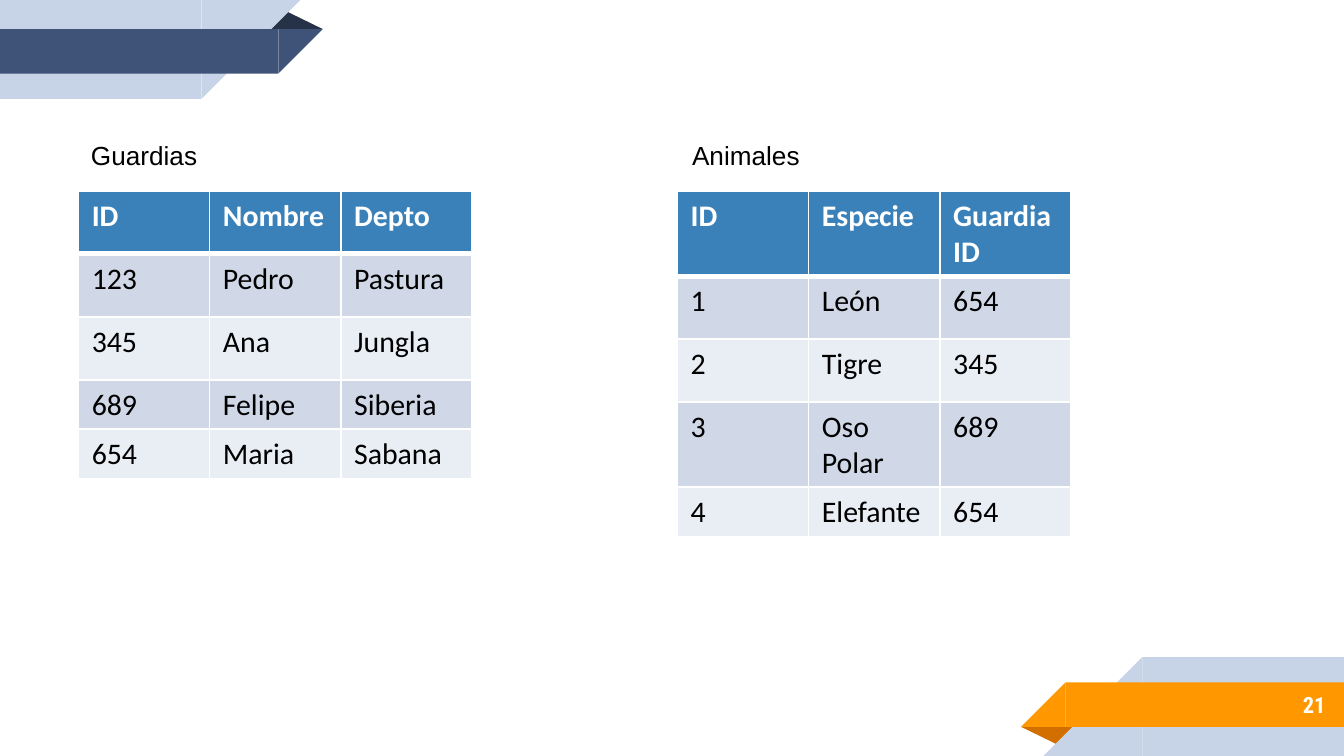
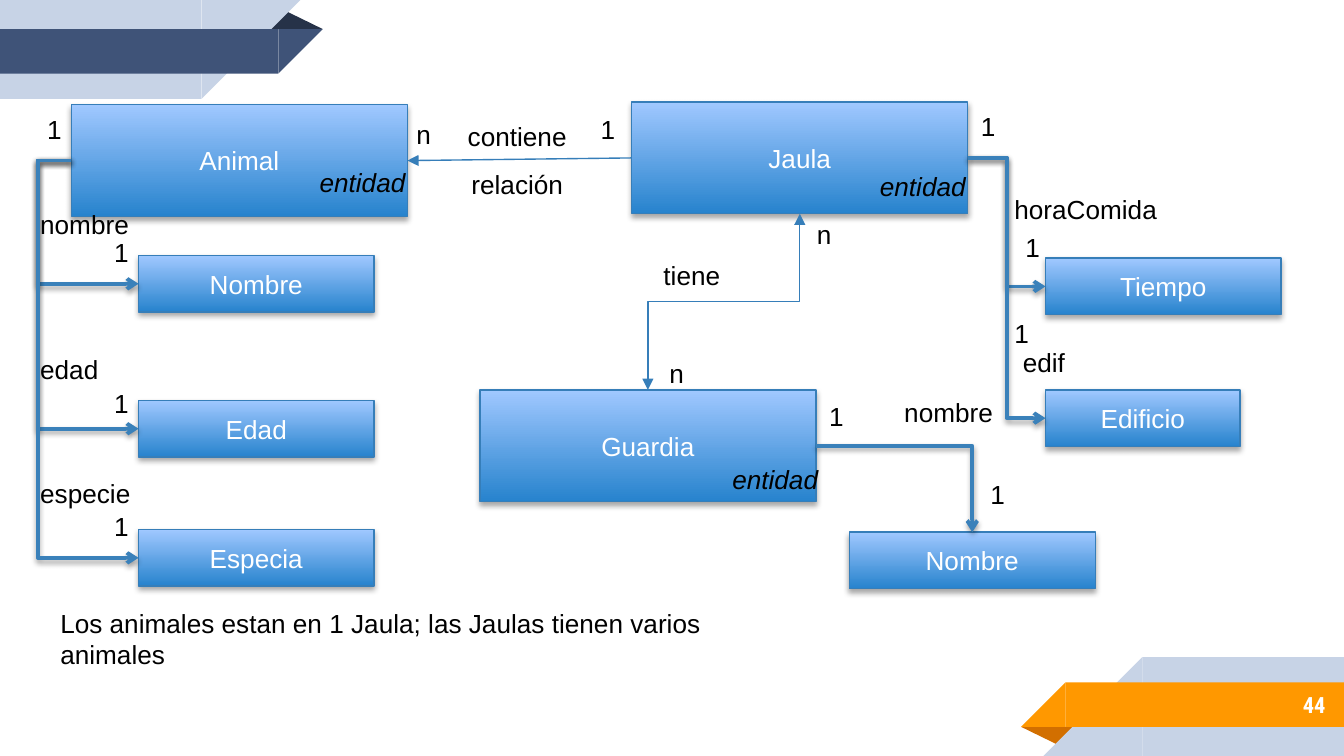
from lxml import etree
from pptx import Presentation
from pptx.dml.color import RGBColor
from pptx.enum.shapes import MSO_CONNECTOR, MSO_SHAPE
from pptx.enum.text import MSO_ANCHOR, MSO_AUTO_SIZE, PP_ALIGN
from pptx.oxml.ns import qn
from pptx.util import Cm, Pt

RECT, TRIANGLE, CORNER = MSO_SHAPE.RECTANGLE, MSO_SHAPE.ISOSCELES_TRIANGLE, MSO_SHAPE.RIGHT_TRIANGLE
LEFT, CENTER, RIGHT = PP_ALIGN.LEFT, PP_ALIGN.CENTER, PP_ALIGN.RIGHT
MIDDLE = MSO_ANCHOR.MIDDLE
STRAIGHT, ELBOW = MSO_CONNECTOR.STRAIGHT, MSO_CONNECTOR.ELBOW
SITE_TOP, SITE_LEFT, SITE_BOTTOM, SITE_RIGHT = range(4)

COLORS = {
    "black": "000000", "white": "FFFFFF",
    "pale": "C7D3E6", "orange": "FF9800", "orange_fold": "D26F00",
    "navy": "3F5378", "navy_fold": "263248",
    "header": "3A81BA", "row_odd": "D0D8E8", "row_even": "E9EDF4",
    "box_bottom": "2783CD", "box_top": "A0C8FF",
    "outline": "367EB9", "attribute_line": "3A81BA",
}
WIDTH, HEIGHT = 25.4, 14.29

# Corner ornament at the bottom right: shape, colour role, x, y, width, height
ORNAMENT = [
    (TRIANGLE, "fold", 19.3, 13.74, 1.09, 0.36),
    (RECT, "pale", 21.59, 12.42, 3.81, 1.87),
    (CORNER, "pale", 19.72, 12.42, 1.87, 1.87),
    (RECT, "band", 20.14, 12.9, 5.26, 0.84),
    (CORNER, "band", 19.3, 12.9, 0.84, 0.84),
]

# Tables: caption, caption x, caption width, table x, rows
TABLES = [
    ("Guardias", 1.47, 2.54, 1.48, [
        ("ID", "Nombre", "Depto"),
        ("123", "Pedro", "Pastura"),
        ("345", "Ana", "Jungla"),
        ("689", "Felipe", "Siberia"),
        ("654", "Maria", "Sabana"),
    ]),
    ("Animales", 12.83, 2.57, 12.8, [
        ("ID", "Especie", "Guardia ID"),
        ("1", "León", "654"),
        ("2", "Tigre", "345"),
        ("3", "Oso Polar", "689"),
        ("4", "Elefante", "654"),
    ]),
]
TABLE_TOP, COLUMN_WIDTH = 3.61, 2.48
ROW_HEIGHTS = [1.19, 1.19, 1.19, 0.69, 0.69]

# Entities: x, y
ENTITY_SIZE = (6.35, 2.11)
ENTITIES = {"Animal": (1.35, 1.98), "Jaula": (11.94, 1.93), "Guardia": (9.07, 7.37)}

# Attributes: entity, text, x, y, width, bend (None means a single corner)
ATTRIBUTE_HEIGHT = 1.07
ATTRIBUTES = [
    ("Animal", "Nombre", 2.62, 4.83, 4.45, -0.5),
    ("Animal", "Edad", 2.62, 7.57, 4.45, -0.5),
    ("Animal", "Especia", 2.62, 10.01, 4.45, -0.5),
    ("Jaula", "Tiempo", 19.76, 4.88, 4.45, 0.5),
    ("Jaula", "Edificio", 19.76, 7.37, 3.68, 0.5),
    ("Guardia", "Nombre", 16.05, 10.06, 4.65, None),
]

LABELS = [
    ("nombre", 0.51, 3.81, 2.18), ("edad", 0.51, 6.55, 1.63),
    ("especie", 0.51, 8.89, 2.24), ("horaComida", 18.92, 3.53, 3.23),
    ("edif", 19.08, 6.43, 1.32), ("nombre", 16.84, 7.37, 2.18),
    ("contiene", 8.59, 2.16, 2.39), ("relación", 8.66, 3.05, 2.26),
    ("tiene", 12.29, 4.78, 1.6),
    ("n", 7.62, 2.11, 0.79), ("1", 11.1, 2.01, 0.79),
    ("n", 15.19, 4.01, 0.79), ("n", 12.4, 6.63, 0.79),
]
ATTRIBUTE_ONES = [
    (0.64, 2.01), (1.91, 4.34), (1.91, 7.19), (1.91, 9.53), (18.29, 1.96),
    (19.13, 4.24), (18.92, 5.87), (15.42, 7.44), (18.47, 8.92),
]
ENTITY_TAGS = [(5.79, 3.02, 2.29), (16.38, 3.1, 2.34), (13.59, 8.64, 3.56)]
NOTE = "Los animales estan en 1 Jaula; las Jaulas tienen varios animales"


def rgb(name):
    return RGBColor.from_string(COLORS[name])


def write(tf, text, size=14, font="Arial", color="black", bold=False, italic=False, align=LEFT):
    p = tf.paragraphs[0]
    p.alignment = align
    r = p.add_run()
    r.text = text
    r.font.size, r.font.name = Pt(size), font
    r.font.bold, r.font.italic = bold, italic
    r.font.color.rgb = rgb(color)


def add_text(s, text, x, y, w, h=0.86, wrap=False, **fmt):
    tf = s.shapes.add_textbox(Cm(x), Cm(y), Cm(w), Cm(h)).text_frame
    tf.word_wrap = wrap
    tf.auto_size = MSO_AUTO_SIZE.SHAPE_TO_FIT_TEXT
    write(tf, text, **fmt)


def add_shadow(sp, alpha, distance):
    """Give a shape or connector a soft black shadow straight below it."""
    effects = etree.SubElement(sp._element.spPr, qn("a:effectLst"))
    shadow = etree.SubElement(effects, qn("a:outerShdw"), blurRad=str(Pt(3.1)),
                              dist=str(Pt(distance)), dir="5400000", rotWithShape="0")
    color = etree.SubElement(shadow, qn("a:srgbClr"), val=COLORS["black"])
    etree.SubElement(color, qn("a:alpha"), val=str(alpha * 1000))


def draw_ornament(s, band, fold, opposite=False):
    """Draw the corner ornament, or the same one turned about the slide centre."""
    roles = {"band": band, "fold": fold, "pale": "pale"}
    for kind, role, x, y, w, h in ORNAMENT:
        if opposite:
            x, y = WIDTH - x - w, HEIGHT - y - h
        sp = s.shapes.add_shape(kind, Cm(x), Cm(y), Cm(w), Cm(h))
        sp.fill.solid()
        sp.fill.fore_color.rgb = rgb(roles[role])
        sp.line.fill.background()
        sp.shadow.inherit = False
        if kind == TRIANGLE:
            sp.adjustments[0] = 0.324
            sp.rotation = 0 if opposite else 180
        else:
            sp._element.spPr.xfrm.set("flipH", "1")
            sp.rotation = 180 if opposite else 0


def decorate_layout(s):
    """Move the ornaments from the slide to its layout, which all slides share."""
    draw_ornament(s, "orange", "orange_fold")
    draw_ornament(s, "navy", "navy_fold", opposite=True)
    tree = s.slide_layout.shapes._spTree
    for sp in list(s.shapes):
        tree.append(sp._element)


def add_page_number(s, number):
    tf = s.shapes.add_textbox(Cm(21.16), Cm(12.88), Cm(4.14), Cm(0.89)).text_frame
    tf.word_wrap = True
    tf.vertical_anchor = MIDDLE
    tf.margin_left = tf.margin_right = tf.margin_top = tf.margin_bottom = Cm(0.25)
    write(tf, number, size=12, font="Roboto Condensed", color="white", bold=True, align=RIGHT)


def set_borders(cell, **widths):
    tcPr = cell._tc.get_or_add_tcPr()
    for side in "LRTB":
        ln = etree.SubElement(tcPr, qn(f"a:ln{side}"), w=str(Pt(widths.get(side, 1))))
        fill = etree.SubElement(ln, qn("a:solidFill"))
        etree.SubElement(fill, qn("a:srgbClr"), val=COLORS["white"])


def add_data_table(s, x, rows):
    columns = len(rows[0])
    table = s.shapes.add_table(len(rows), columns, Cm(x), Cm(TABLE_TOP),
                               Cm(COLUMN_WIDTH * columns), Cm(sum(ROW_HEIGHTS))).table
    for column in table.columns:
        column.width = Cm(COLUMN_WIDTH)
    for i, values in enumerate(rows):
        table.rows[i].height = Cm(ROW_HEIGHTS[i])
        header = i == 0
        fill = "header" if header else "row_odd" if i % 2 else "row_even"
        for j, value in enumerate(values):
            cell = table.cell(i, j)
            set_borders(cell, B=3 if header else 1, T=3 if i == 1 else 1)
            cell.fill.solid()
            cell.fill.fore_color.rgb = rgb(fill)
            write(cell.text_frame, value, size=16, font="Calibri", bold=header,
                  color="white" if header else "black")


def add_box(s, text, x, y, w, h):
    sp = s.shapes.add_shape(RECT, Cm(x), Cm(y), Cm(w), Cm(h))
    sp.fill.gradient()
    sp.fill.gradient_angle = 90
    for stop, position, color in zip(sp.fill.gradient_stops, (0, 1), ("box_bottom", "box_top")):
        stop.position = position
        stop.color.rgb = rgb(color)
    sp.line.color.rgb = rgb("outline")
    sp.line.width = Pt(0.75)
    add_shadow(sp, 35, 1.8)
    sp.text_frame.vertical_anchor = MIDDLE
    write(sp.text_frame, text, color="white", align=CENTER)
    return sp


def connect(s, kind, start, start_site, end, end_site, color, width, head=None, tail="triangle"):
    conn = s.shapes.add_connector(kind, 0, 0, 0, 0)
    conn.begin_connect(start, start_site)
    conn.end_connect(end, end_site)
    conn.line.color.rgb = rgb(color)
    conn.line.width = Pt(width)
    ln = conn.line._get_or_add_ln()
    for tag, arrow in (("a:headEnd", head), ("a:tailEnd", tail)):
        if arrow:
            etree.SubElement(ln, qn(tag), type=arrow)
    return conn


def connect_attribute(s, entity, attribute, bend):
    start_site = SITE_LEFT if bend and bend < 0 else SITE_RIGHT
    end_site = SITE_TOP if bend is None else SITE_LEFT
    conn = connect(s, ELBOW, entity, start_site, attribute, end_site,
                   "attribute_line", 2, tail="arrow")
    geometry = conn._element.spPr.find(qn("a:prstGeom"))
    if bend is None:
        geometry.set("prst", "bentConnector2")
    else:
        etree.SubElement(geometry.find(qn("a:avLst")), qn("a:gd"),
                         name="adj1", fmla=f"val {int(bend * 100000)}")
    add_shadow(conn, 38, 1.6)


def turn_vertical(conn):
    """Make an elbow that runs down and to the left start and end vertically."""
    x, y, w, h = conn.left, conn.top, conn.width, conn.height
    xfrm = conn._element.spPr.xfrm
    xfrm.flipH = False
    xfrm.set("rot", "5400000")
    conn.left, conn.top = x + (w - h) // 2, y + (h - w) // 2
    conn.width, conn.height = h, w


def build_tables(s):
    for caption, caption_x, caption_w, x, rows in TABLES:
        add_data_table(s, x, rows)
        add_text(s, caption, caption_x, 2.51, caption_w)


def build_diagram(s):
    add_text(s, NOTE, 0.89, 11.35, 12.7, 1.45, wrap=True)
    boxes = {name: add_box(s, name, *at, *ENTITY_SIZE) for name, at in ENTITIES.items()}
    for entity, text, x, y, w, bend in ATTRIBUTES:
        attribute = add_box(s, text, x, y, w, ATTRIBUTE_HEIGHT)
        connect_attribute(s, boxes[entity], attribute, bend)

    contains = connect(s, STRAIGHT, boxes["Jaula"], SITE_LEFT, boxes["Animal"], SITE_RIGHT,
                       "outline", 0.75)
    has = connect(s, ELBOW, boxes["Jaula"], SITE_BOTTOM, boxes["Guardia"], SITE_TOP,
                  "outline", 0.75, head="triangle")
    turn_vertical(has)
    for conn in (contains, has):
        etree.SubElement(conn._element.spPr, qn("a:effectLst"))

    for label in LABELS:
        add_text(s, *label)
    for x, y in ATTRIBUTE_ONES:
        add_text(s, "1", x, y, 0.84, 1.02)
    for tag in ENTITY_TAGS:
        add_text(s, "entidad", *tag, wrap=True, italic=True)


def main():
    prs = Presentation()
    prs.slide_width, prs.slide_height = Cm(WIDTH), Cm(HEIGHT)
    blank = prs.slide_layouts[6]
    for i, (number, build) in enumerate([("21", build_tables), ("44", build_diagram)]):
        s = prs.slides.add_slide(blank)
        if i == 0:
            decorate_layout(s)
        add_page_number(s, number)
        build(s)
    prs.save("out.pptx")


if __name__ == "__main__":
    main()
